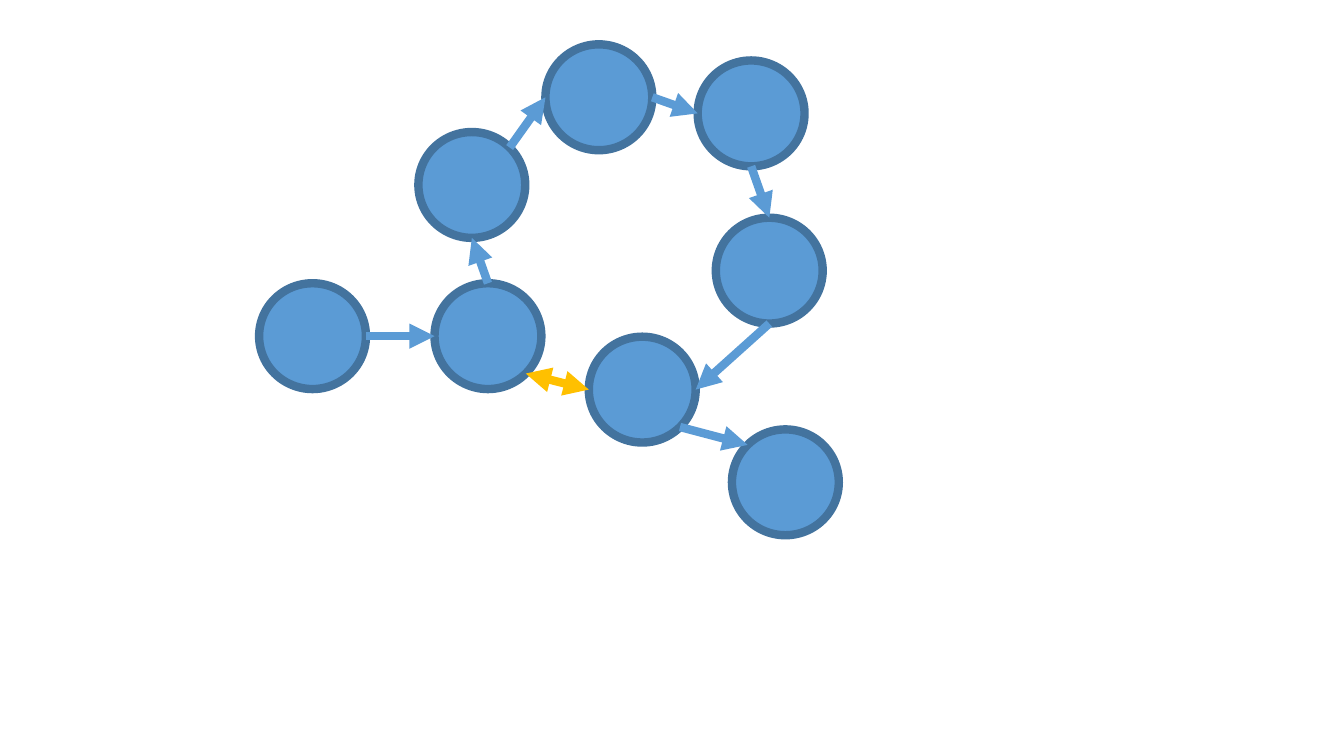
from math import cos, radians, sin
from lxml.etree import SubElement
from pptx import Presentation
from pptx.dml.color import RGBColor
from pptx.enum.shapes import MSO_CONNECTOR, MSO_SHAPE
from pptx.oxml.ns import qn
from pptx.util import Inches, Pt

BLUE = RGBColor(0x5B, 0x9B, 0xD5)
DARK_BLUE = RGBColor(0x43, 0x73, 0x9E)
GOLD = RGBColor(0xFF, 0xC0, 0x00)

NODE_W, NODE_H = 1.06, 1.05
STROKE = Pt(6)

NODES = {
    "entry": (4.31, 2.81),
    "end": (7.26, 4.26),
    "exit": (5.84, 3.34),
    "left": (4.15, 1.31),
    "top": (5.41, 0.44),
    "top right": (6.92, 0.6),
    "right": (7.1, 2.16),
    "start": (2.57, 2.81),
}

ANGLES = {"E": 0, "SE": 45, "S": 90, "W": 180, "NW": 225, "N": 270, "NE": 315}

ONE_WAY = ("tailEnd",)
TWO_WAY = ("headEnd", "tailEnd")

ARROWS = [
    ("start", "E", "entry", "W", BLUE, ONE_WAY),
    ("entry", "N", "left", "S", BLUE, ONE_WAY),
    ("left", "NE", "top", "W", BLUE, ONE_WAY),
    ("top", "E", "top right", "W", BLUE, ONE_WAY),
    ("top right", "S", "right", "N", BLUE, ONE_WAY),
    ("right", "S", "exit", "E", BLUE, ONE_WAY),
    ("exit", "SE", "end", "NW", BLUE, ONE_WAY),
    ("exit", "W", "entry", "SE", GOLD, TWO_WAY),
]


def rim(node, side):
    x, y = NODES[node]
    a = radians(ANGLES[side])
    return (Inches(x + NODE_W / 2 * (1 + cos(a))),
            Inches(y + NODE_H / 2 * (1 + sin(a))))


def set_line(line, color):
    line.color.rgb = color
    line.width = STROKE


prs = Presentation()
prs.slide_width, prs.slide_height = Inches(13.33), Inches(7.5)
s = prs.slides.add_slide(prs.slide_layouts[6])

for x, y in NODES.values():
    sp = s.shapes.add_shape(MSO_SHAPE.OVAL, Inches(x), Inches(y), Inches(NODE_W), Inches(NODE_H))
    sp.shadow.inherit = False
    sp.fill.solid()
    sp.fill.fore_color.rgb = BLUE
    set_line(sp.line, DARK_BLUE)

for begin, begin_side, end, end_side, color, heads in ARROWS:
    c = s.shapes.add_connector(MSO_CONNECTOR.STRAIGHT, *rim(begin, begin_side), *rim(end, end_side))
    set_line(c.line, color)
    spPr = c._element.spPr
    for head in heads:
        SubElement(spPr.find(qn("a:ln")), qn(f"a:{head}"), type="triangle")
    SubElement(spPr, qn("a:effectLst"))

prs.save("out.pptx")
